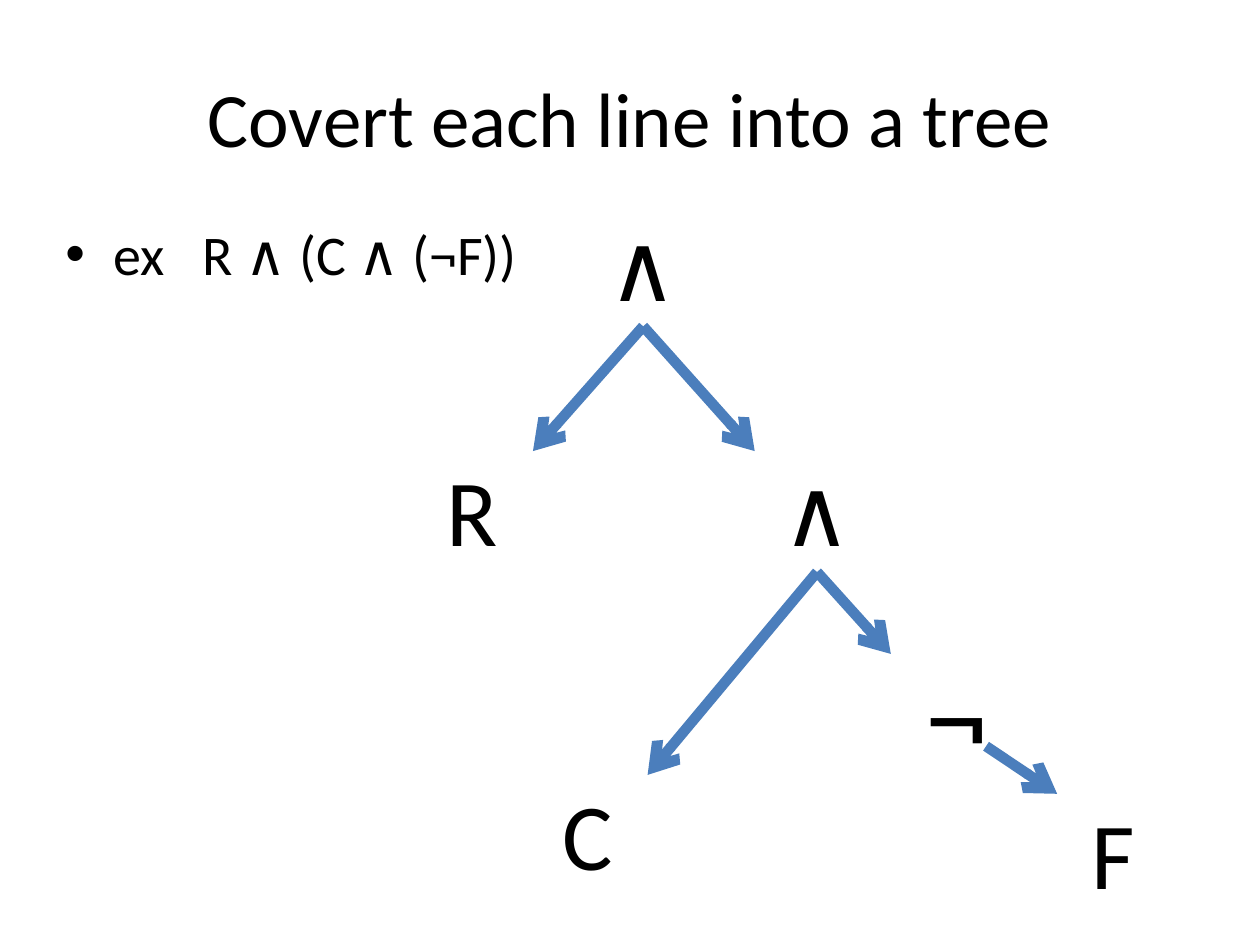
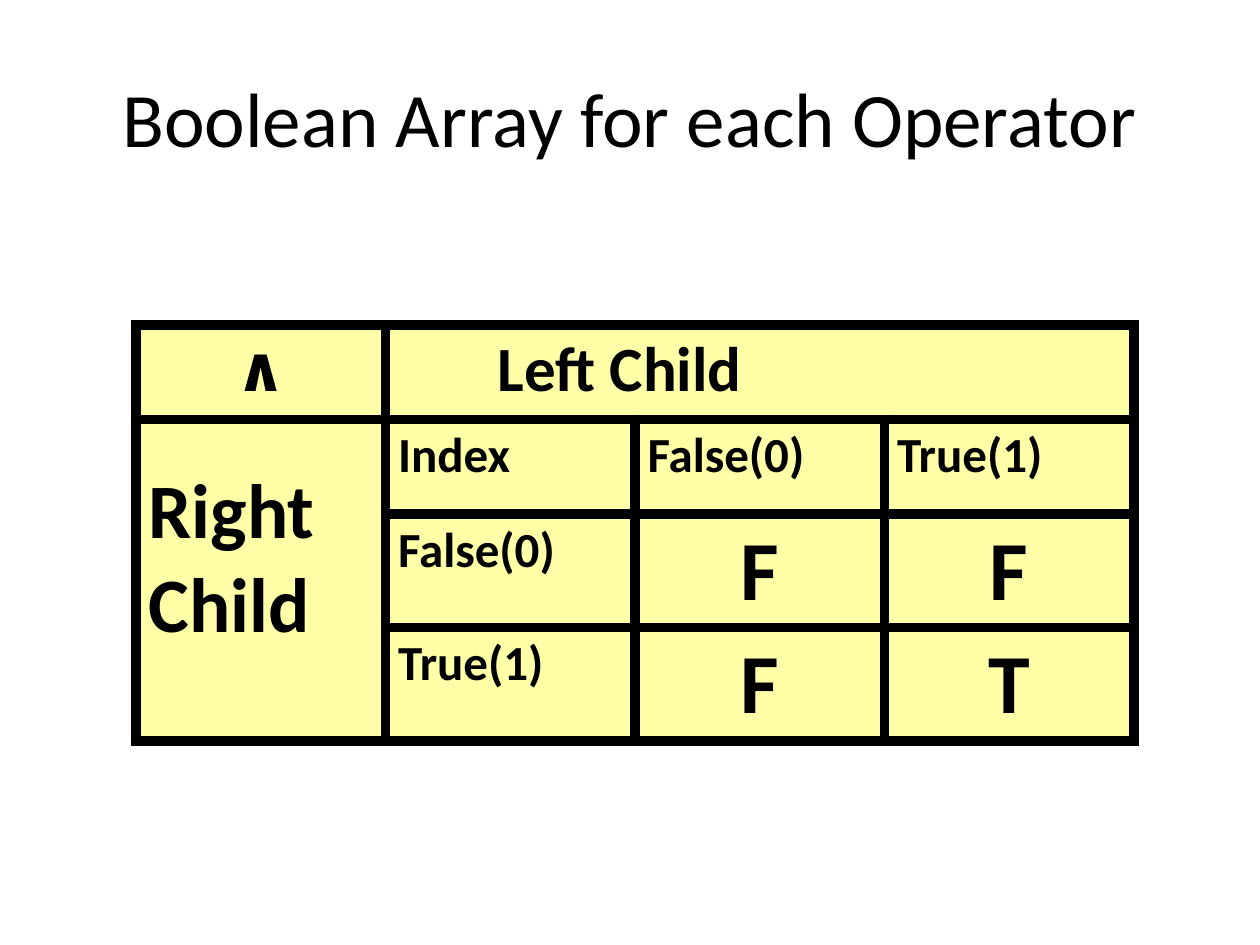
from pptx import Presentation
from pptx.util import Inches, Pt
from pptx.dml.color import RGBColor
from pptx.enum.shapes import MSO_CONNECTOR
from pptx.enum.text import MSO_ANCHOR, PP_ALIGN
from pptx.oxml import parse_xml
from pptx.oxml.ns import nsdecls

COLORS = {"text": "000000", "arrow": "4B7EBC", "cell": "FFFFA7", "border": "000000"}
FONT = "Calibri"
GRID = 10
TITLE_BOX = (5, 3, 90, 12.5)
FORMULA_BOX = (4.2, 16.9, 90, 35.9)
TREE_BOX = (32.7, 16.3, 60.1, 56.3)
TABLE_BOX = (10.8, 25.8, 79.2, 33)

NODES = {
    "root": ("∧", 13.4, 0, 9.9, 9.6, 54),
    "R": ("R", 0, 19.5, 9.6, 9.6, 54),
    "and": ("∧", 27.2, 19.5, 9.9, 9.6, 54),
    "C": ("C", 9.2, 45.2, 9.5, 9.6, 54),
    "not": ("¬", 38, 35.6, 10.5, 11.1, 72),
    "F": ("F", 51.2, 46.7, 8.9, 9.6, 54),
}
EDGES = [("root", "R"), ("root", "and"), ("and", "C"), ("and", "not"), ("not", "F")]
EXITS = {"not": (0.72, 0.66)}

CELLS = [
    ["∧", "Left Child", "", ""],
    ["Right\nChild", "Index", "False(0)", "True(1)"],
    ["", "False(0)", "F", "F"],
    ["", "True(1)", "F", "T"],
]
CELL_SIZES = {"∧": 36, "Left Child": 36, "Right\nChild": 44, "F": 48, "T": 48}
ROW_SHARES = (0.75, 0.75, 0.9, 0.9)


def units(*lengths):
    return [Inches(n / GRID) for n in lengths]


def element(tag, attrs="", inner=""):
    return parse_xml(f"<a:{tag} {nsdecls('a')} {attrs}>{inner}</a:{tag}>")


def apply(obj, **values):
    for name, value in values.items():
        setattr(obj, name, value)


def add_run(p, text, size, bold=False):
    r = p.add_run()
    r.text = text
    apply(r.font, name=FONT, size=Pt(size), bold=bold)
    r.font.color.rgb = RGBColor.from_string(COLORS["text"])
    return r


def add_box(slide, box, **values):
    tf = slide.shapes.add_textbox(*units(*box)).text_frame
    apply(tf, word_wrap=True, **values)
    return tf.paragraphs[0]


def add_title(slide, text, box=TITLE_BOX):
    p = add_box(slide, box, vertical_anchor=MSO_ANCHOR.MIDDLE)
    p.alignment = PP_ALIGN.CENTER
    add_run(p, text, 44)


def add_formula(slide, box):
    p = add_box(slide, box)
    pPr = p._p.get_or_add_pPr()
    pPr.set("marL", str(Inches(0.38)))
    pPr.set("indent", str(-Inches(0.38)))
    pPr.append(element("buFont", 'typeface="Arial"'))
    pPr.append(element("buChar", 'char="•"'))
    add_run(p, "ex", 32)
    gap = add_run(p, " ", 32)
    gap._r.get_or_add_rPr().set("spc", "1450")
    add_run(p, "R ∧ (C ∧ (¬F))", 32)


def add_arrow(slide, start, end):
    line = slide.shapes.add_connector(MSO_CONNECTOR.STRAIGHT, *units(*start, *end))
    line.line.color.rgb = RGBColor.from_string(COLORS["arrow"])
    line.line.width = Pt(6)
    line.line._get_or_add_ln().append(element("tailEnd", 'type="arrow"'))
    line._element.spPr.append(element("effectLst"))


def add_tree(slide, box):
    left, top = box[:2]
    places = {}
    for name, (text, x, y, w, h, size) in NODES.items():
        places[name] = (left + x, top + y, w, h)
        p = add_box(slide, places[name], margin_top=0, margin_left=0, margin_right=0,
                    vertical_anchor=MSO_ANCHOR.BOTTOM)
        p.alignment = PP_ALIGN.CENTER
        add_run(p, text, size)
    for parent, child in EDGES:
        px, py, pw, ph = places[parent]
        cx, cy, cw, _ = places[child]
        across, down = EXITS.get(parent, (0.5, 1))
        end_x = cx if cx > px else cx + cw
        add_arrow(slide, (px + across * pw, py + down * ph), (end_x, cy))


def style_cell(cell):
    cell.fill.solid()
    cell.fill.fore_color.rgb = RGBColor.from_string(COLORS["cell"])
    tcPr = cell._tc.get_or_add_tcPr()
    fill = f'<a:solidFill><a:srgbClr val="{COLORS["border"]}"/></a:solidFill>'
    for i, side in enumerate(("lnL", "lnR", "lnT", "lnB")):
        tcPr.insert(i, element(side, f'w="{Pt(6)}"', fill))


def fill_cell(cell, text):
    for i, line in enumerate(text.split("\n")):
        tf = cell.text_frame
        p = tf.add_paragraph() if i else tf.paragraphs[0]
        if len(line) == 1:
            p.alignment = PP_ALIGN.CENTER
        add_run(p, line, CELL_SIZES.get(text, 28), bold=True)


def add_truth_table(slide, box):
    rows, cols = len(CELLS), len(CELLS[0])
    table = slide.shapes.add_table(rows, cols, *units(*box)).table
    apply(table, first_row=False, horz_banding=False)
    for column in table.columns:
        column.width = units(box[2] / cols)[0]
    for row, share in zip(table.rows, ROW_SHARES):
        row.height = units(box[3] * share / sum(ROW_SHARES))[0]
    for r, texts in enumerate(CELLS):
        for c, text in enumerate(texts):
            style_cell(table.cell(r, c))
            if text:
                fill_cell(table.cell(r, c), text)
    left_child, right_child = table.cell(0, 1), table.cell(1, 0)
    left_child.merge(table.cell(0, cols - 1))
    right_child.merge(table.cell(rows - 1, 0))
    pPr = left_child.text_frame.paragraphs[0]._p.get_or_add_pPr()
    pPr.set("marL", str(Inches(0.79)))
    right_child.margin_top = Inches(0.36)


def add_slide(prs, title, *parts):
    slide = prs.slides.add_slide(prs.slide_layouts[6])
    add_title(slide, title)
    for draw, box in parts:
        draw(slide, box)


prs = Presentation()
apply(prs, slide_width=Inches(10), slide_height=Inches(7.5))
add_slide(prs, "Covert each line into a tree", (add_formula, FORMULA_BOX), (add_tree, TREE_BOX))
add_slide(prs, "Boolean Array for each Operator", (add_truth_table, TABLE_BOX))
prs.save("out.pptx")
